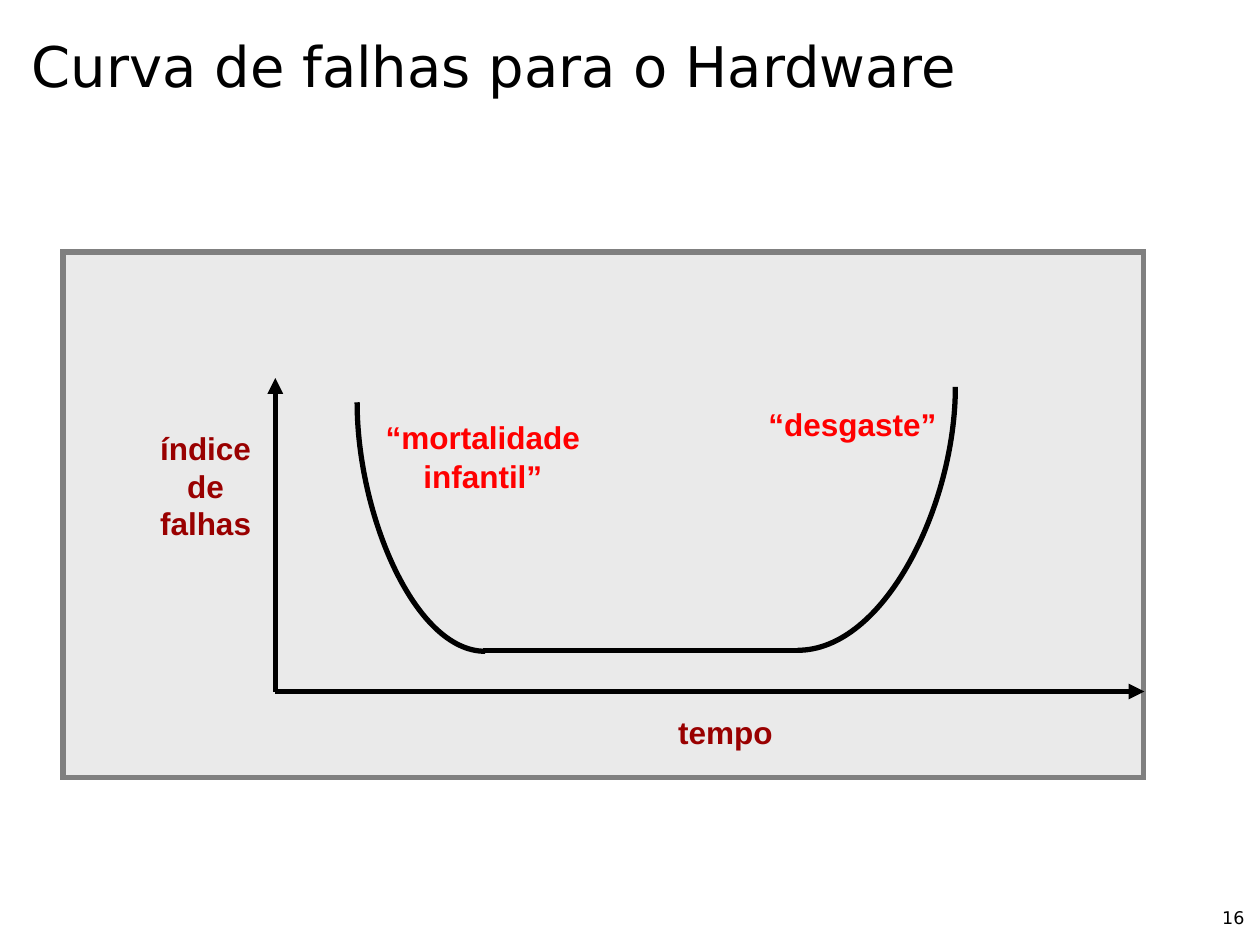
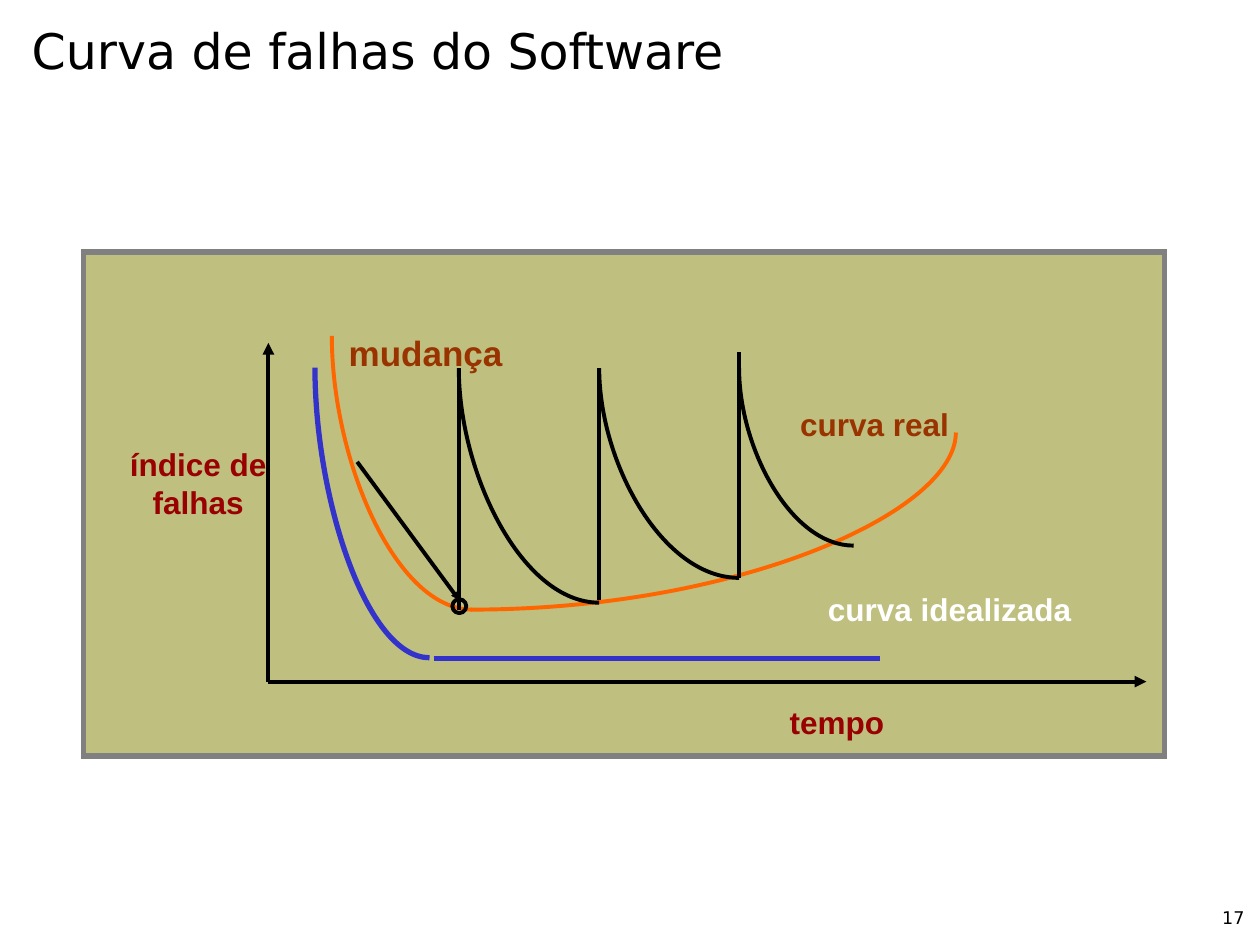
"""Two slides: failure curves of hardware and of software."""
from dataclasses import dataclass
from typing import NamedTuple

from lxml import etree
from pptx import Presentation
from pptx import util as u
from pptx.dml.color import RGBColor
from pptx.enum import shapes, text
from pptx.oxml.ns import qn


@dataclass(frozen=True)
class Theme:
    """Colours, fonts and sizes shared by both slides."""
    ink: str = "000000"
    frame: str = "808080"
    hardware_panel: str = "EAEAEA"
    software_panel: str = "808000"
    axis_label: str = "990000"
    phase: str = "FF0000"
    actual_label: str = "993300"
    ideal_label: str = "FFFFFF"
    actual: str = "FF6600"
    ideal: str = "3333CC"
    title_font: str = "DejaVu Sans"
    label_font: str = "Arial"
    label_size: float = 18
    large_size: float = 20
    number_size: float = 10
    thick: float = 3
    thin: float = 2.24


THEME = Theme()


class Point(NamedTuple):
    """A place on the slide, in centimetres."""
    x: float
    y: float


class Box(NamedTuple):
    """Left, top, width and height, in centimetres."""
    left: float
    top: float
    width: float
    height: float

    def lengths(self) -> list:
        """Return the four values as slide lengths."""
        return [u.Cm(value) for value in self]


class Pen(NamedTuple):
    """Colour and width of a stroke."""
    color: str
    width: float


@dataclass(frozen=True)
class Label:
    """A bold caption inside the diagram; its spaces may have their own size."""
    words: str
    box: Box
    color: str
    size: float = THEME.label_size
    centred: bool = False
    before: float = 0
    after: float = 0
    space_size: float = 0


@dataclass(frozen=True)
class Curve:
    """A quarter ellipse, flat at its foot and upright at its top."""
    foot: Point
    top: Point
    pen: Pen


TITLE_BOX = Box(0.64, 0.64, 21.06, 3.18)
NUMBER_BOX = Box(24.64, 18.29, 1.27, 0.64)
ROUNDNESS = 0.55  # pull of the control points that makes a quarter ellipse
THICK = Pen(THEME.ink, THEME.thick)
THIN = Pen(THEME.ink, THEME.thin)
IDEAL = Pen(THEME.ideal, THEME.thick)
ACTUAL = Pen(THEME.actual, THEME.thin)


def style_font(font, name: str, size: float, color: str, bold: bool = False) -> None:
    """Set face, size, colour and weight of a font."""
    font.name, font.size, font.bold = name, u.Pt(size), bold
    font.color.rgb = RGBColor.from_string(color)


def style_line(line, pen: Pen) -> None:
    """Give an outline the colour and width of a pen."""
    line.color.rgb = RGBColor.from_string(pen.color)
    line.width = u.Pt(pen.width)


def clear_margins(frame) -> None:
    """Remove the inner margins of a text frame."""
    frame.margin_left = frame.margin_right = 0
    frame.margin_top = frame.margin_bottom = 0


def start_slide(deck, heading: str, size: float, number: int, spacing: float = 1.0):
    """Add a slide with its title and its number."""
    slide = deck.slides.add_slide(deck.slide_layouts[5])
    title = slide.shapes.title
    title.left, title.top, title.width, title.height = TITLE_BOX.lengths()
    frame = title.text_frame
    clear_margins(frame)
    frame.auto_size = text.MSO_AUTO_SIZE.NONE
    frame.vertical_anchor = text.MSO_ANCHOR.TOP
    frame.text = heading
    paragraph = frame.paragraphs[0]
    paragraph.alignment = text.PP_ALIGN.LEFT
    paragraph.line_spacing = spacing
    style_font(paragraph.font, THEME.title_font, size, THEME.ink)

    footer = slide.shapes.add_textbox(*NUMBER_BOX.lengths()).text_frame
    clear_margins(footer)
    footer.text = str(number)
    style_font(footer.paragraphs[0].font, THEME.title_font, THEME.number_size, THEME.ink)
    return slide


def draw_panel(slide, box: Box, color: str, opacity: int = 100) -> None:
    """Draw the framed, sharp-cornered background of a diagram."""
    panel = slide.shapes.add_shape(shapes.MSO_SHAPE.RECTANGLE, *box.lengths())
    panel.shadow.inherit = False
    panel.fill.solid()
    panel.fill.fore_color.rgb = RGBColor.from_string(color)
    properties = panel._element.spPr
    if opacity < 100:
        shade = properties.find(qn("a:solidFill")).find(qn("a:srgbClr"))
        etree.SubElement(shade, qn("a:alpha"), val=str(opacity * 1000))
    style_line(panel.line, Pen(THEME.frame, THEME.thick))
    etree.SubElement(properties.find(qn("a:ln")), qn("a:miter"), lim="800000")


def draw_label(slide, label: Label) -> None:
    """Write one caption."""
    frame = slide.shapes.add_textbox(*label.box.lengths()).text_frame
    frame.word_wrap = True
    paragraph = frame.paragraphs[0]
    if label.centred:
        paragraph.alignment = text.PP_ALIGN.CENTER
    paragraph.space_before = u.Pt(label.before)
    paragraph.space_after = u.Pt(label.after)
    style_font(paragraph.font, THEME.label_font, label.size, label.color, True)
    if not label.space_size:
        paragraph.add_run().text = label.words
        return
    first, space, rest = label.words.partition(" ")
    for part in (first, space, rest):
        run = paragraph.add_run()
        run.text = part
        size = label.space_size if part == space else label.size
        style_font(run.font, THEME.label_font, size, label.color, True)


def draw_line(slide, start: Point, end: Point, pen: Pen, head: str = "") -> None:
    """Draw a straight line, with an arrowhead of the given size at its end."""
    line = slide.shapes.add_connector(
        shapes.MSO_CONNECTOR.STRAIGHT, *(u.Cm(value) for value in (*start, *end)))
    style_line(line.line, pen)
    properties = line._element.spPr
    if head:
        etree.SubElement(properties.find(qn("a:ln")), qn("a:tailEnd"),
                         type="triangle", w=head, len=head)
    etree.SubElement(properties, qn("a:effectLst"))


def draw_axes(slide, origin: Point, top: float, right: float, pen: Pen) -> None:
    """Draw both axes from their origin."""
    for end in (Point(origin.x, top), Point(right, origin.y)):
        draw_line(slide, origin, end, pen, head="med")


def draw_curve(slide, curve: Curve) -> None:
    """Draw a quarter ellipse as one cubic segment from its foot to its top."""
    foot, top = curve.foot, curve.top
    leaving = Point(foot.x + ROUNDNESS * (top.x - foot.x), foot.y)
    arriving = Point(top.x, top.y + (1 - ROUNDNESS) * (foot.y - top.y))
    points = [(u.Cm(point.x), u.Cm(point.y)) for point in (foot, leaving, arriving, top)]
    outline = slide.shapes.build_freeform(*points[0])
    outline.add_line_segments(points[1:], close=False)
    stroke = outline.convert_to_shape()
    route = next(stroke._element.iter(qn("a:path")))
    segments = route.findall(qn("a:lnTo"))
    bend = etree.SubElement(route, qn("a:cubicBezTo"))
    for segment in segments:
        bend.append(segment.find(qn("a:pt")))
        route.remove(segment)
    stroke.shadow.inherit = False
    stroke.fill.background()
    style_line(stroke.line, curve.pen)


def draw_ring(slide, box: Box, pen: Pen) -> None:
    """Mark the moment of change with an empty circle."""
    ring = slide.shapes.add_shape(shapes.MSO_SHAPE.OVAL, *box.lengths())
    ring.shadow.inherit = False
    ring.fill.background()
    style_line(ring.line, pen)


def build_hardware(deck) -> None:
    """Build the bathtub curve of hardware failures."""
    slide = start_slide(deck, "Curva de falhas para o Hardware", 32, 16)
    draw_panel(slide, Box(1.27, 5.08, 21.79, 10.59), THEME.hardware_panel)
    for label in (
        Label("tempo", Box(13.42, 14.25, 4.57, 1.5), THEME.axis_label),
        Label("“desgaste”", Box(15.24, 8.05, 4.06, 1.8), THEME.phase),
        Label("“mortalidade infantil”", Box(7.07, 8.24, 5.33, 3.3), THEME.phase,
              centred=True, before=9, after=3, space_size=THEME.large_size),
        Label("índice de falhas", Box(2.75, 8.52, 2.79, 3.61), THEME.axis_label,
              centred=True),
    ):
        draw_label(slide, label)
    draw_axes(slide, Point(5.55, 13.94), 7.62, 23.07, THICK)
    draw_curve(slide, Curve(Point(9.78, 13.13), Point(7.2, 8.11), THICK))
    draw_curve(slide, Curve(Point(16.08, 13.11), Point(19.26, 7.8), THICK))
    draw_line(slide, Point(9.73, 13.12), Point(16.08, 13.12), THICK)


def build_software(deck) -> None:
    """Build the ideal and actual curves of software failures."""
    slide = start_slide(deck, "Curva de falhas do Software", 28, 17, spacing=0.8)
    draw_panel(slide, Box(1.69, 5.08, 21.79, 10.16), THEME.software_panel, opacity=50)
    for label in (
        Label("índice de falhas", Box(2.33, 8.85, 3.33, 3.58), THEME.axis_label,
              centred=True),
        Label("mudança", Box(6.78, 6.55, 5.64, 1.96), THEME.actual_label,
              THEME.large_size),
        Label("curva real", Box(15.88, 8.05, 5.64, 1.96), THEME.actual_label),
        Label("curva idealizada", Box(16.44, 11.76, 5.64, 1.96), THEME.ideal_label),
        Label("tempo", Box(15.67, 14.05, 4.62, 1.63), THEME.axis_label),
    ):
        draw_label(slide, label)
    draw_axes(slide, Point(5.41, 13.74), 6.91, 23.11, THIN)

    draw_curve(slide, Curve(Point(8.66, 13.26), Point(6.35, 7.41), IDEAL))
    draw_line(slide, Point(8.74, 13.28), Point(17.73, 13.28), IDEAL)
    draw_curve(slide, Curve(Point(9.52, 12.29), Point(6.69, 6.77), ACTUAL))
    draw_curve(slide, Curve(Point(9.5, 12.29), Point(19.27, 8.72), ACTUAL))

    peak = 7.42
    changes = (
        (Point(9.25, 12.29), peak, Point(12.08, 12.15)),
        (Point(12.08, 12.09), peak, Point(14.9, 11.65)),
        (Point(14.9, 11.65), 7.1, Point(17.21, 11.0)),
    )
    for base, spike_top, settled in changes:
        draw_line(slide, base, Point(base.x, spike_top), THIN)
        draw_curve(slide, Curve(settled, Point(base.x, peak), THIN))
    draw_line(slide, Point(7.2, 9.31), Point(9.25, 12.09), THIN, head="sm")
    draw_ring(slide, Box(9.12, 12.08, 0.28, 0.28), THIN)


def main() -> None:
    """Build and save the presentation."""
    deck = Presentation()
    deck.slide_width, deck.slide_height = u.Cm(25.4), u.Cm(19.05)
    build_hardware(deck)
    build_software(deck)
    deck.save("out.pptx")


main()
